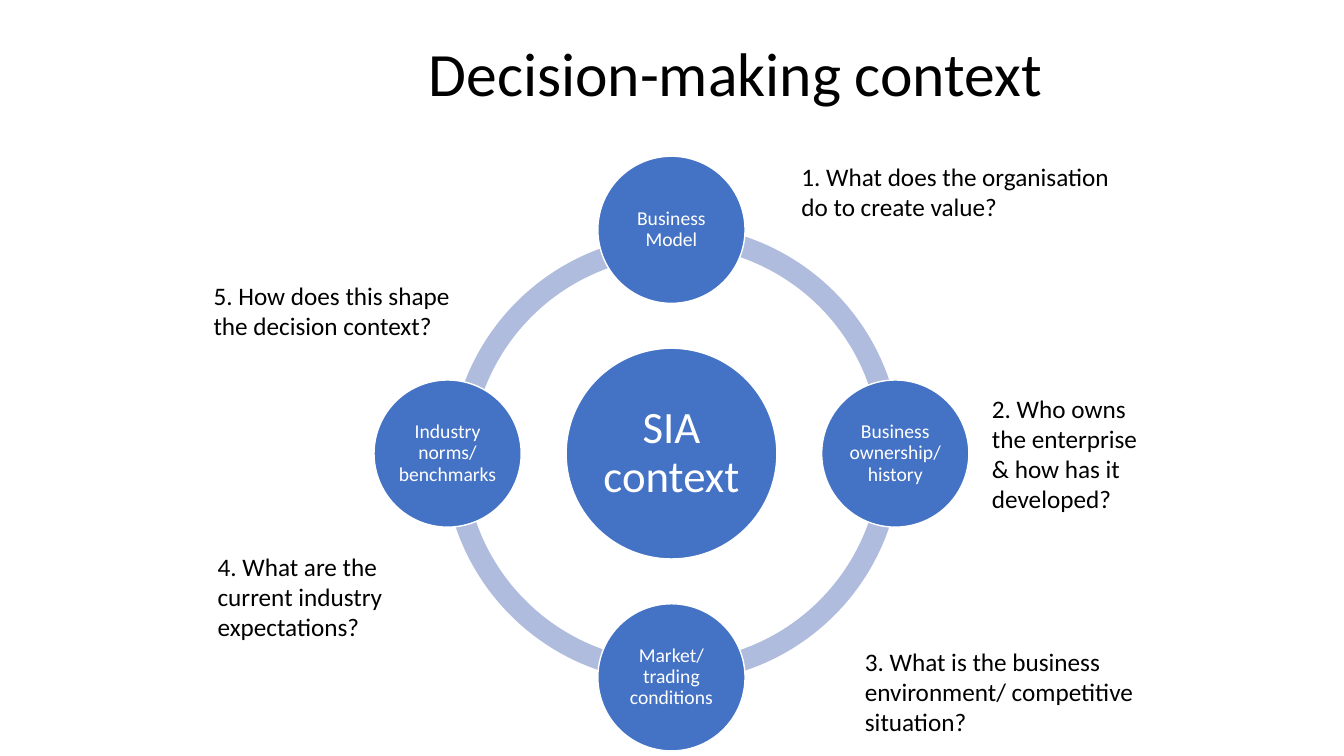
import math

from pptx import Presentation
from pptx.dml.color import RGBColor
from pptx.enum import shapes, text
from pptx.util import Inches, Pt

COLOURS = {"circle": "4472C4", "ring": "B0BCDE", "light": "FFFFFF", "dark": "000000"}
FONT = "Calibri"
CENTRE_X, CENTRE_Y = 6.66, 4.5
ORBIT = 2.22
RING_SIZE = 4.54
FACTORS = [  # clockwise from the top
    "Business Model",
    "Business ownership/ history",
    "Market/ trading conditions",
    "Industry norms/ benchmarks",
]
RING_ARCS = [  # left, top, start angle, end angle
    (4.46, 2.33, 180, 270),
    (4.4, 2.23, 90, 180),
    (4.4, 2.23, 0, 90),
    (4.4, 2.23, 270, 0),
]
QUESTIONS = [  # left, top, width, height, wording
    (7.85, 1.55, 3.55, 0.71, "1. What does the organisation do to create value?"),
    (9.74, 3.85, 1.73, 1.31, "2. Who owns the enterprise & how has it developed?"),
    (8.48, 6.36, 3.03, 1.01, "3. What is the business environment/ competitive situation?"),
    (2.06, 5.42, 2.01, 1.01, "4. What are the current industry expectations?"),
    (2.02, 2.73, 2.6, 0.71, "5. How does this shape the decision context?"),
]


def colour(name):
    return RGBColor.from_string(COLOURS[name])


def write(frame, wording, size, ink, align=text.PP_ALIGN.LEFT, spacing=None):
    """Put one formatted paragraph in a text frame."""
    frame.text = wording
    frame.word_wrap = True
    para = frame.paragraphs[0]
    para.alignment = align
    para.line_spacing = spacing
    font = para.runs[0].font
    font.name, font.size, font.color.rgb = FONT, Pt(size), colour(ink)


def add_title(page, wording):
    title = page.shapes.title
    title.left, title.top = Inches(4.15), Inches(0.13)
    title.width, title.height = Inches(7.02), Inches(1.25)
    write(title.text_frame, wording, 44, "dark", spacing=0.9)
    title.text_frame.auto_size = text.MSO_AUTO_SIZE.NONE
    title.text_frame.vertical_anchor = text.MSO_ANCHOR.MIDDLE


def add_ring_arc(page, left, top, start, end):
    arc = page.shapes.add_shape(shapes.MSO_SHAPE.BLOCK_ARC, Inches(left), Inches(top),
                                Inches(RING_SIZE), Inches(RING_SIZE))
    arc.shadow.inherit = False
    # Angles are stored in 60000ths of a degree, adjustments in 100000ths.
    arc.adjustments[0] = start * 0.6
    arc.adjustments[1] = end * 0.6
    arc.adjustments[2] = 0.046
    arc.fill.solid()
    arc.fill.fore_color.rgb = colour("ring")
    arc.line.fill.background()


def add_circle(page, x, y, diameter, wording, size, inset):
    """Add a labelled circle centred on x, y."""
    circle = page.shapes.add_shape(
        shapes.MSO_SHAPE.OVAL, Inches(x - diameter / 2), Inches(y - diameter / 2),
        Inches(diameter), Inches(diameter))
    circle.shadow.inherit = False
    circle.fill.solid()
    circle.fill.fore_color.rgb = colour("circle")
    circle.line.color.rgb = colour("light")
    circle.line.width = Pt(1)
    frame = circle.text_frame
    frame.margin_left = frame.margin_right = Inches(inset)
    frame.margin_top = frame.margin_bottom = Inches(inset)
    frame.vertical_anchor = text.MSO_ANCHOR.MIDDLE
    write(frame, wording, size, "light", text.PP_ALIGN.CENTER, 0.9)


def add_question(page, left, top, width, height, wording):
    box = page.shapes.add_textbox(Inches(left), Inches(top), Inches(width), Inches(height))
    write(box.text_frame, wording, 18, "dark")
    box.text_frame.auto_size = text.MSO_AUTO_SIZE.SHAPE_TO_FIT_TEXT


def main():
    deck = Presentation()
    deck.slide_width, deck.slide_height = Inches(13.33), Inches(7.5)
    page = deck.slides.add_slide(deck.slide_layouts.get_by_name("Title Only"))
    add_title(page, "Decision-making context")
    for arc in RING_ARCS:
        add_ring_arc(page, *arc)
    add_circle(page, CENTRE_X, CENTRE_Y, 2.09, "SIA context", 32, 0.04)
    for index, factor in enumerate(FACTORS):
        angle = math.tau * index / len(FACTORS)
        add_circle(page, CENTRE_X + ORBIT * math.sin(angle),
                   CENTRE_Y - ORBIT * math.cos(angle), 1.46, factor, 14, 0.02)
    for question in QUESTIONS:
        add_question(page, *question)
    deck.save("out.pptx")


if __name__ == "__main__":
    main()
